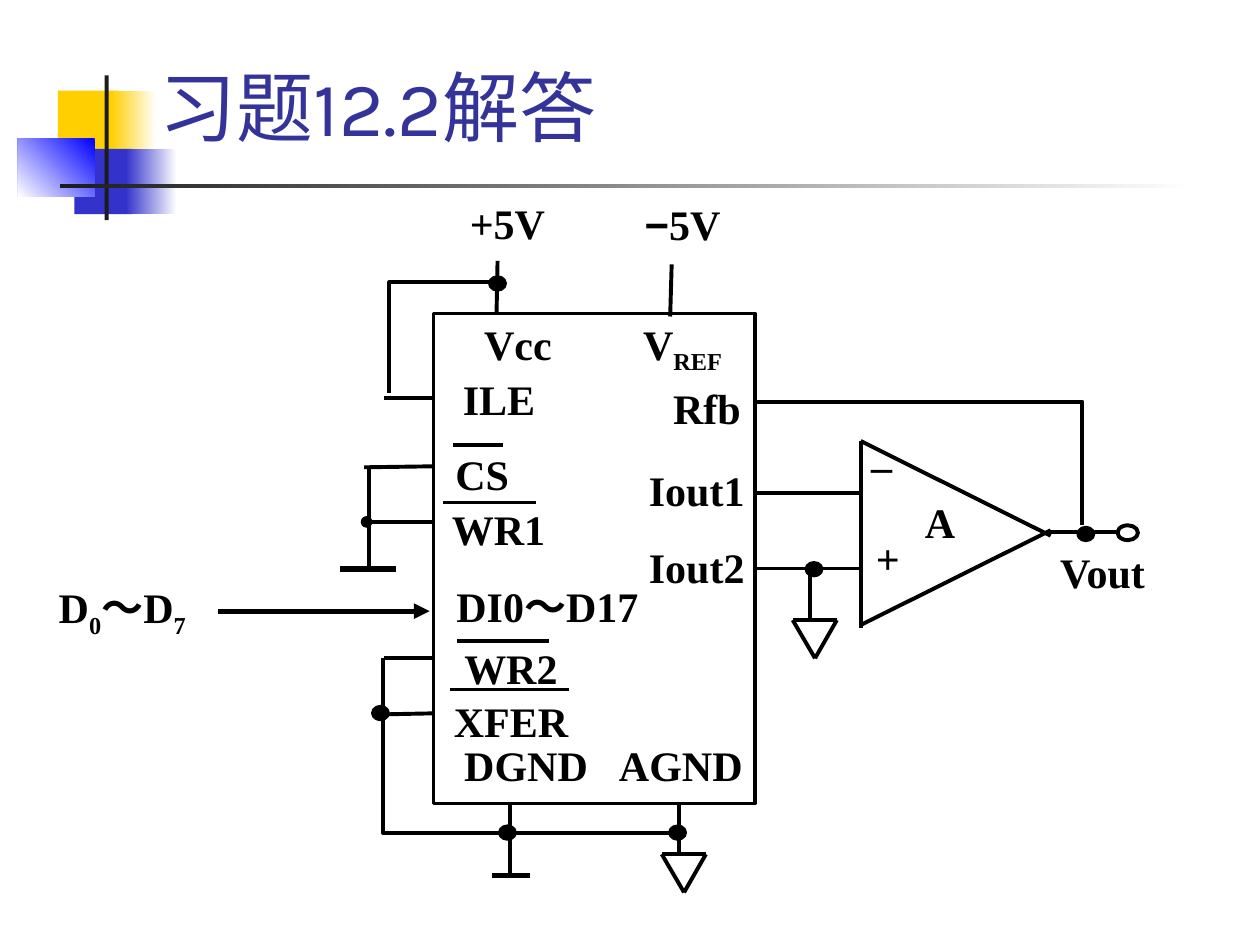
import pptx
import pptx.dml.color
import pptx.enum.shapes
import pptx.enum.text
import pptx.oxml.ns
import pptx.util
from lxml import etree
from pptx.util import Cm

RGBColor = pptx.dml.color.RGBColor
SHAPE = pptx.enum.shapes.MSO_SHAPE
ALIGN = pptx.enum.text.PP_ALIGN
ANCHOR = pptx.enum.text.MSO_ANCHOR

BLACK = RGBColor(0x00, 0x00, 0x00)
WHITE = RGBColor(0xFF, 0xFF, 0xFF)
YELLOW = RGBColor(0xFF, 0xCF, 0x01)
INDIGO = RGBColor(0x33, 0x33, 0xCC)
BLUE = RGBColor(0x00, 0x00, 0xFF)
CHARCOAL = RGBColor(0x1C, 0x1C, 0x1C)
TITLE_COLOR = RGBColor(0x33, 0x33, 0x99)

WIRE = 2.25
THICK = 3
LABEL_FONT = "Times New Roman"
SUBSCRIPT = "-25000"


def add_block(slide, left, top, width, height, colors, angle=180):
    block = slide.shapes.add_shape(SHAPE.RECTANGLE, Cm(left), Cm(top), Cm(width), Cm(height))
    block.shadow.inherit = False
    block.line.fill.background()
    if len(colors) == 1:
        block.fill.solid()
        block.fill.fore_color.rgb = colors[0]
        return
    block.fill.gradient()
    block.fill.gradient_angle = angle
    for stop, position, color in zip(block.fill.gradient_stops, (0, 1), colors):
        stop.position = position
        stop.color.rgb = color


def add_outline(slide, kind, left, top, width, height, filled=False):
    shape = slide.shapes.add_shape(kind, Cm(left), Cm(top), Cm(width), Cm(height))
    style_outline(shape)
    if filled:
        shape.fill.solid()
        shape.fill.fore_color.rgb = BLACK


def style_outline(shape):
    shape.shadow.inherit = False
    shape.fill.background()
    shape.line.color.rgb = BLACK
    shape.line.width = pptx.util.Pt(WIRE)


def add_wire(slide, x1, y1, x2, y2, width=WIRE, head=None, tail=None):
    wire = slide.shapes.add_connector(
        pptx.enum.shapes.MSO_CONNECTOR.STRAIGHT, Cm(x1), Cm(y1), Cm(x2), Cm(y2))
    wire.line.color.rgb = BLACK
    wire.line.width = pptx.util.Pt(width)
    line = wire.line._get_or_add_ln()
    for tag, kind in (("a:headEnd", head), ("a:tailEnd", tail)):
        if kind:
            etree.SubElement(line, pptx.oxml.ns.qn(tag), type=kind)
    etree.SubElement(wire._element.spPr, pptx.oxml.ns.qn("a:effectLst"))


def add_bent_wire(slide, *points):
    start, *rest = [(Cm(x), Cm(y)) for x, y in points]
    builder = slide.shapes.build_freeform(*start)
    builder.add_line_segments(rest, close=False)
    style_outline(builder.convert_to_shape())


def add_bar_ground(slide, left, right, y, stem_x, stem_top):
    add_wire(slide, left, y, right, y, THICK)
    add_wire(slide, stem_x, y, stem_x, stem_top)


def add_triangle_ground(slide, left, top, stem_top):
    right, middle, bottom = left + 0.89, left + 0.45, top + 0.77
    add_wire(slide, left + 0.34, stem_top, left + 0.34, top)
    add_wire(slide, left, top, right, top)
    add_wire(slide, left, top, middle, bottom)
    add_wire(slide, right, top, middle, bottom)


def add_text_box(slide, left, top, width, height):
    box = slide.shapes.add_textbox(Cm(left), Cm(top), Cm(width), Cm(height))
    box.text_frame.word_wrap = True
    return box.text_frame


def style_label(paragraph, alignment):
    paragraph.alignment = alignment
    paragraph.font.size = pptx.util.Pt(24)
    paragraph.font.bold = True
    paragraph.font.color.rgb = BLACK


def add_label(slide, left, top, width, height, runs, alignment=ALIGN.CENTER):
    frame = add_text_box(slide, left, top, width, height)
    frame.margin_left = frame.margin_right = frame.margin_bottom = Cm(0.03)
    frame.margin_top = Cm(0.1)
    paragraph = frame.paragraphs[0]
    style_label(paragraph, alignment)
    if isinstance(runs, str):
        paragraph.add_run().text = runs
        paragraph.font.name = LABEL_FONT
        return frame
    for text, font_name, baseline in runs:
        run = paragraph.add_run()
        run.text = text
        run.font.name = font_name
        if baseline:
            run.font._element.set("baseline", baseline)
    return frame


def add_title(slide):
    frame = add_text_box(slide, 2.97, 0.84, 16.21, 2.34)
    frame.vertical_anchor = ANCHOR.BOTTOM
    paragraph = frame.paragraphs[0]
    paragraph.text = "习题12.2解答"
    paragraph.font.name = "Karla"
    paragraph.font.size = pptx.util.Pt(44)
    paragraph.font.color.rgb = TITLE_COLOR


def add_decoration(slide):
    add_block(slide, 1.17, 1.83, 1.22, 1.32, [YELLOW])
    add_block(slide, 2.24, 1.83, 0.91, 1.32, [WHITE, YELLOW])
    add_block(slide, 1.5, 3, 1.17, 1.32, [INDIGO])
    add_block(slide, 2.54, 3, 1.02, 1.32, [WHITE, INDIGO])
    add_block(slide, 0.36, 2.79, 1.55, 1.17, [BLUE, WHITE], 225)
    add_block(slide, 2.11, 1.52, 0.08, 2.92, [CHARCOAL])
    add_block(slide, 1.22, 3.71, 22.86, 0.09, [WHITE, CHARCOAL])


def add_labels(slide):
    for text, left, top, width, height in (
            ("+5V", 8.81, 3.89, 2.84, 1.68), ("Vcc", 9.02, 6.32, 2.84, 1.35),
            ("ILE", 8.64, 7.44, 2.84, 1.68), ("Rfb", 12.83, 7.62, 2.84, 1.68),
            ("Iout1", 12.47, 9.27, 3.15, 1.78), ("Iout2", 12.47, 10.82, 3.15, 1.78),
            ("DI0～D17", 8.43, 11.61, 5.21, 1.68), ("DGND", 8.74, 14.81, 3.73, 1.68),
            ("AGND", 11.86, 14.81, 3.73, 1.68), ("A", 17.53, 9.91, 2.84, 1.68),
            ("Vout", 20.65, 10.92, 3.15, 1.75)):
        add_label(slide, left, top, width, height, text)
    for text, left, top, width, height in (
            ("CS", 9.15, 8.94, 1.9, 1.27), ("WR1", 9.08, 10.06, 2.84, 1.68),
            ("+", 17.63, 10.64, 1.57, 2.44), ("_", 17.53, 8.48, 1.57, 2.44)):
        add_label(slide, left, top, width, height, text, ALIGN.LEFT)
    add_label(slide, 12.34, 3.91, 2.84, 1.68, [("−", "Arial", None), ("5V", LABEL_FONT, None)])
    add_label(slide, 12.34, 6.32, 2.84, 1.68,
              [("V", LABEL_FONT, None), ("REF", LABEL_FONT, SUBSCRIPT)])
    add_label(slide, 0.41, 11.63, 4.11, 1.68,
              [("D", LABEL_FONT, None), ("0", LABEL_FONT, SUBSCRIPT),
               ("～D", LABEL_FONT, None), ("7", LABEL_FONT, SUBSCRIPT)])
    frame = add_label(slide, 9.12, 12.85, 3.05, 2.36, "WR2", ALIGN.LEFT)
    frame.paragraphs[0]._p.get_or_add_pPr().set("indent", str(Cm(0.21)))
    transfer = frame.add_paragraph()
    transfer.text = "XFER"
    transfer.space_before = pptx.util.Pt(1.5)
    style_label(transfer, ALIGN.LEFT)
    transfer.font.name = LABEL_FONT


def add_circuit(slide):
    add_outline(slide, SHAPE.RECTANGLE, 8.74, 6.32, 6.48, 9.88)
    for ends in (
            (10.01, 6.3, 10.03, 5.26), (13.51, 6.38, 13.54, 5.33),
            (8.74, 8.03, 7.75, 8.03), (8.74, 9.4, 7.34, 9.42),
            (8.74, 13.26, 7.75, 13.26), (8.74, 14.38, 7.75, 14.4),
            (15.19, 9.93, 17.35, 9.93), (15.19, 11.46, 17.35, 11.46),
            (17.35, 8.89, 21.18, 10.8), (17.35, 12.6, 21.18, 10.69),
            (17.35, 8.89, 17.35, 12.65), (21.16, 10.72, 22.58, 10.72)):
        add_wire(slide, *ends)
    for left, right, y in ((9.14, 10.13, 8.97), (8.94, 10.8, 10.13),
                           (9.22, 11.07, 12.92), (9.07, 11.48, 13.9)):
        add_wire(slide, left, y, right, y)
    add_wire(slide, 7.39, 10.52, 8.76, 10.52, head="oval")
    add_wire(slide, 4.39, 12.32, 8.66, 12.32, THICK, tail="triangle")
    add_bent_wire(slide, (7.85, 7.92), (7.85, 5.69), (10.08, 5.69))
    add_bent_wire(slide, (21.82, 10.59), (21.82, 8.1), (15.19, 8.1))
    add_bent_wire(slide, (7.72, 13.26), (7.72, 16.79), (13.72, 16.79))
    add_bar_ground(slide, 6.86, 7.98, 11.47, 7.43, 9.42)
    add_bar_ground(slide, 9.91, 10.69, 17.65, 10.29, 16.18)
    add_triangle_ground(slide, 15.98, 12.5, 11.46)
    add_triangle_ground(slide, 13.34, 17.22, 16.2)
    for left, top in ((9.88, 5.59), (16.26, 11.35), (21.74, 10.64),
                      (7.52, 14.25), (10.08, 16.66), (13.51, 16.66)):
        add_outline(slide, SHAPE.OVAL, left, top, 0.3, 0.25, filled=True)
    add_outline(slide, SHAPE.OVAL, 22.53, 10.59, 0.41, 0.3)


def main():
    presentation = pptx.Presentation()
    presentation.slide_width = Cm(25.4)
    presentation.slide_height = Cm(19.05)
    slide = presentation.slides.add_slide(presentation.slide_layouts[6])
    add_decoration(slide)
    add_title(slide)
    add_labels(slide)
    add_circuit(slide)
    presentation.save("out.pptx")


if __name__ == "__main__":
    main()
